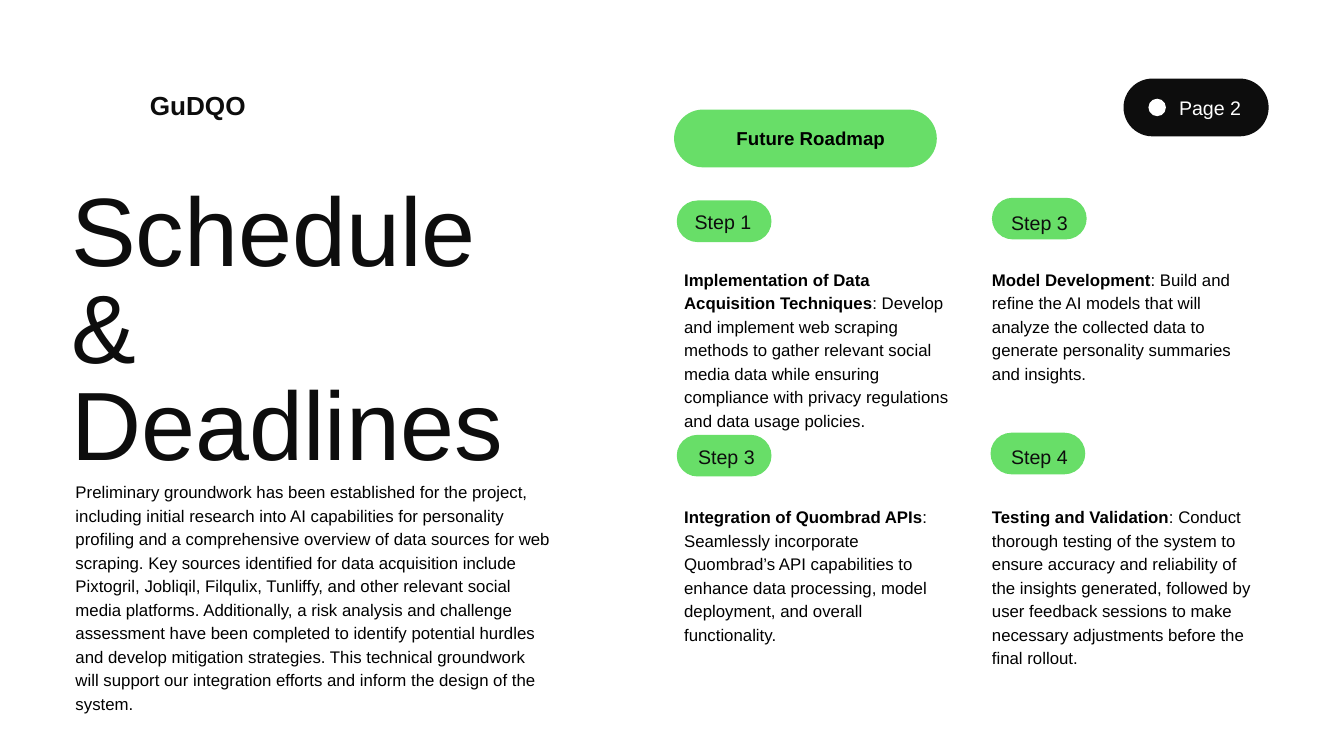
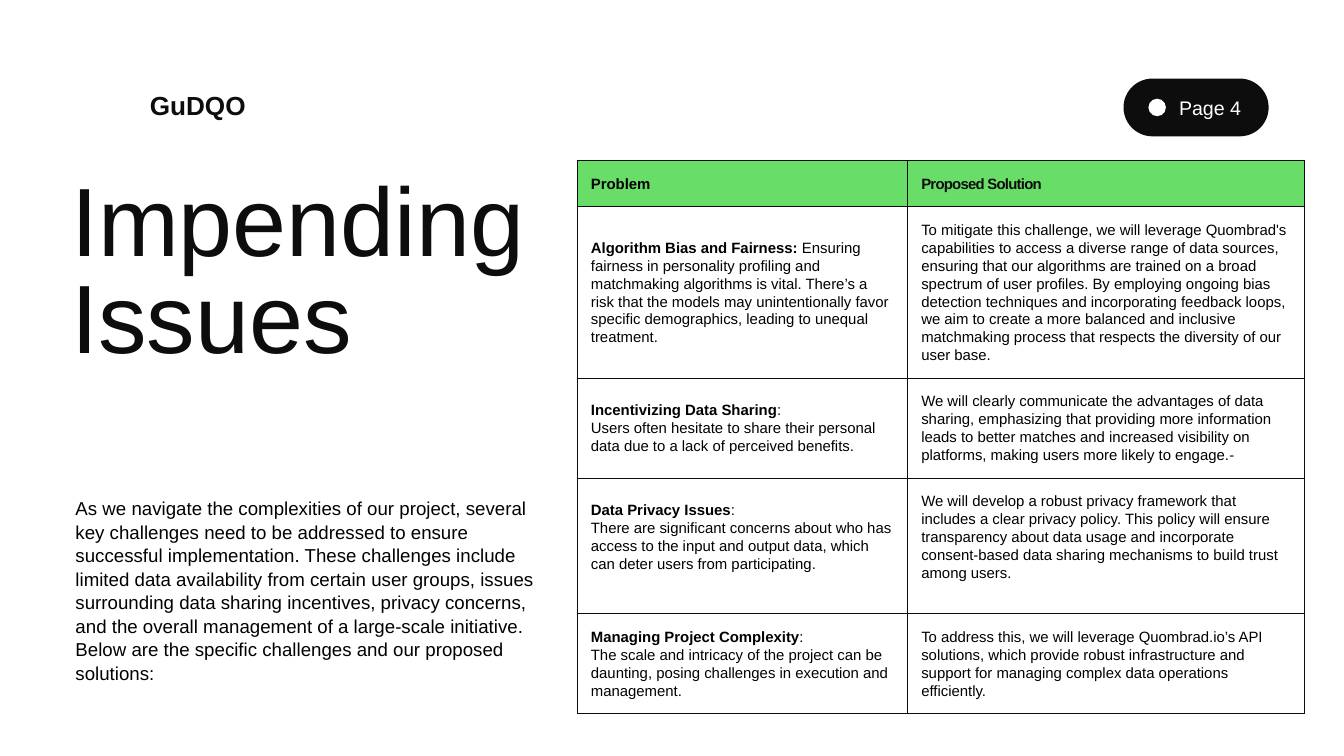
from lxml.etree import SubElement
from pptx import Presentation
from pptx.dml.color import RGBColor
from pptx.enum.shapes import MSO_SHAPE
from pptx.enum.text import MSO_ANCHOR, MSO_AUTO_SIZE, PP_ALIGN
from pptx.oxml import parse_xml
from pptx.oxml.ns import nsdecls, qn
from pptx.util import Pt

HUES = {"ink": "0D0D0D", "text": "000000", "green": "68DE68", "white": "FFFFFF"}
FONT = "Arial"
STEP_SIZE = (101.5, 44.6)
PAD = 15.12
LEAD = 19.2


def hue(name):
    return RGBColor.from_string(HUES[name])


def add_runs(para, runs, size, color, lead=None):
    """Each run is (text, bold) or (text, bold, color, letter spacing)."""
    if lead:
        para.line_spacing = Pt(lead)
    for text, bold, *extra in runs:
        tone, gap = extra or (color, 0)
        for num, line in enumerate(text.split("\n")):
            if num:
                para.add_line_break()
            run = para.add_run()
            run.text = line
            run.font.name = FONT
            run.font.size = Pt(size)
            run.font.bold = bold
            run.font.color.rgb = hue(tone)
            if gap:
                run.font._element.set("spc", str(int(gap * 100)))


def add_text(slide, box, paras, size, color="text", lead=None,
             align=PP_ALIGN.LEFT, inset=(0, 0)):
    shape = slide.shapes.add_textbox(*map(Pt, box))
    frame = shape.text_frame
    frame.word_wrap = True
    frame.auto_size = MSO_AUTO_SIZE.SHAPE_TO_FIT_TEXT
    frame.margin_left = frame.margin_right = Pt(inset[0])
    frame.margin_top = frame.margin_bottom = Pt(inset[1])
    for num, runs in enumerate(paras):
        para = frame.add_paragraph() if num else frame.paragraphs[0]
        para.alignment = align
        add_runs(para, runs, size, color, lead)


def add_solid(slide, kind, box, color):
    shape = slide.shapes.add_shape(kind, *map(Pt, box))
    shape.shadow.inherit = False
    shape.fill.solid()
    shape.fill.fore_color.rgb = hue(color)
    shape.line.fill.background()
    return shape


def add_pill(slide, box, color):
    add_solid(slide, MSO_SHAPE.ROUNDED_RECTANGLE, box, color).adjustments[0] = 0.5


# Shared header: name at the left, page badge at the right
def add_head(slide, page):
    add_text(slide, (160.6, 90.7, 275, 36), [[("GuDQO", True)]], 28, "ink", 39.2)
    left, top = 1203.8, 84.2
    add_pill(slide, (left, top, 155.5, 61.9), "ink")
    add_text(slide, (left - 5, top + 14.8, 131, 29.4), [[(f"Page {page}", False)]],
             21, "white", 29.4, PP_ALIGN.RIGHT)
    add_solid(slide, MSO_SHAPE.OVAL, (left + 26.7, top + 21.6, 18.7, 18.7), "white")


# Left column: large title above an introduction
def add_intro(slide, title, top, body, low, size):
    add_text(slide, (76.3, top, 509, 210), [[(line, False)] for line in title],
             104, "ink", 104)
    add_text(slide, (80.9, low, 509, 225), [[(body, False)]], size, lead=25.2)


# One step: pill, label at an offset from the pill, and its description
def add_step(slide, pill, shift, name, spot, lead, rest):
    add_pill(slide, (*pill, *STEP_SIZE), "green")
    add_text(slide, (pill[0] + shift[0], pill[1] + shift[1], 82, 26.6),
             [[(name, False)]], 21, "ink", 29.4)
    add_text(slide, (*spot, 285, 149), [[(lead, True), (rest, False)]], 18, lead=25.2)


def add_roadmap(slide, left, top):
    add_pill(slide, (left, top, 281.5, 61.9), "green")
    add_text(slide, (left + 25.9, top + 15.1, 241.2, 31.7),
             [[("Future Roadmap", True)]], 20, align=PP_ALIGN.CENTER,
             inset=(7.2, 3.6))
    cols, rows = (left + 10.8, left + 340.6), (top + 167.8, top + 422)
    for num, (x, y, shift, name, lead, rest) in enumerate(STEPS):
        spot = cols[num % 2], rows[num // 2]
        add_step(slide, (left + x, top + y), shift, name, spot, lead, rest)


# Bordered table of problems and solutions
def add_edges(cell):
    props = cell._tc.get_or_add_tcPr()
    for num, side in enumerate(("lnL", "lnR", "lnT", "lnB")):
        edge = parse_xml(f'<a:{side} {nsdecls("a")} w="{Pt(0.75)}"/>')
        fill = SubElement(edge, qn("a:solidFill"))
        SubElement(fill, qn("a:srgbClr")).set("val", HUES["ink"])
        props.insert(num, edge)


def add_grid(slide, left, top):
    wide, high = (354, 426), (49.5, 183.8, 106.5, 145.5, 107)
    shape = slide.shapes.add_table(len(high), len(wide), Pt(left), Pt(top),
                                   Pt(sum(wide)), Pt(sum(high)))
    table = shape.table
    table.first_row = table.horz_banding = False
    for col, size in zip(table.columns, wide):
        col.width = Pt(size)
    for num, (row, size) in enumerate(zip(table.rows, high)):
        row.height = Pt(size)
        for cell, runs in zip(row.cells, ISSUES[num]):
            cell.fill.solid()
            cell.fill.fore_color.rgb = hue("white" if num else "green")
            add_edges(cell)
            cell.vertical_anchor = MSO_ANCHOR.MIDDLE
            cell.margin_left = cell.margin_right = cell.margin_top = Pt(PAD)
            # The privacy row sits half a line above the middle
            cell.margin_bottom = Pt(PAD + LEAD if num == 3 else PAD)
            add_runs(cell.text_frame.paragraphs[0], runs, 16, "text", LEAD)


GROUND = (
    "Preliminary groundwork has been established for the project, including "
    "initial research into AI capabilities for personality profiling and a "
    "comprehensive overview of data sources for web scraping. Key sources "
    "identified for data acquisition include Pixtogril, Jobliqil, Filqulix, "
    "Tunliffy, and other relevant social media platforms. Additionally, a risk "
    "analysis and challenge assessment have been completed to identify potential "
    "hurdles and develop mitigation strategies. This technical groundwork will "
    "support our integration efforts and inform the design of the system.")
HURDLES = (
    "As we navigate the complexities of our project, several key challenges need "
    "to be addressed to ensure successful implementation. These challenges include "
    "limited data availability from certain user groups, issues surrounding data "
    "sharing incentives, privacy concerns, and the overall management of a "
    "large-scale initiative. Below are the specific challenges and our proposed "
    "solutions:")

# Pill offset from the roadmap corner, label offset from the pill, then wording
STEPS = [
    (2.9, 97.4, (19.2, 6.2), "Step 1",
     "Implementation of Data Acquisition Techniques",
     ": Develop and implement web scraping methods to gather relevant social media "
     "data while ensuring compliance with privacy regulations and data usage "
     "policies."),
    (340.6, 94.5, (20.6, 9.8), "Step 3", "Model Development",
     ": Build and refine the AI models that will analyze the collected data to "
     "generate personality summaries and insights."),
    (2.9, 348.5, (22.8, 7), "Step 3", "Integration of Quombrad APIs",
     ": Seamlessly incorporate Quombrad’s API capabilities to enhance data "
     "processing, model deployment, and overall functionality."),
    (339.1, 346.2, (22, 8.5), "Step 4", "Testing and Validation",
     ": Conduct thorough testing of the system to ensure accuracy and reliability "
     "of the insights generated, followed by user feedback sessions to make "
     "necessary adjustments before the final rollout."),
]

ISSUES = [
    ([("Problem", True)], [("Proposed Solution", True, "ink", -0.8)]),
    ([("Algorithm Bias and Fairness: ", True),
      ("Ensuring fairness in personality profiling and matchmaking algorithms is "
       "vital. There’s a risk that the models may unintentionally favor specific "
       "demographics, leading to unequal treatment.", False)],
     [("To mitigate this challenge, we will leverage Quombrad's capabilities to "
       "access a diverse range of data sources, ensuring that our algorithms are "
       "trained on a broad spectrum of user profiles. By employing ongoing bias "
       "detection techniques and incorporating feedback loops, we aim to create a "
       "more balanced and inclusive matchmaking process that respects the "
       "diversity of our user base.", False)]),
    ([("Incentivizing Data Sharing", True),
      (":\nUsers often hesitate to share their personal data due to a lack of "
       "perceived benefits.", False)],
     [("We will clearly communicate the advantages of data sharing, emphasizing "
       "that providing more information leads to better matches and increased "
       "visibility on platforms, making users more likely to engage.", False),
      ("-", False, "ink", -0.8)]),
    ([("Data Privacy Issues", True),
      (":\nThere are significant concerns about who has access to the input and "
       "output data, which can deter users from participating.", False)],
     [("We will develop a robust privacy framework that includes a clear privacy "
       "policy. This policy will ensure transparency about data usage and "
       "incorporate consent-based data sharing mechanisms to build trust among "
       "users.", False)]),
    ([("Managing Project Complexity", True),
      (":\nThe scale and intricacy of the project can be daunting, posing "
       "challenges in execution and management.", False)],
     [("To address this, we will leverage Quombrad.io’s API solutions, which "
       "provide robust infrastructure and support for managing complex data "
       "operations efficiently.", False)]),
]


def main():
    deck = Presentation()
    deck.slide_width, deck.slide_height = Pt(1440), Pt(810)
    blank = deck.slide_layouts[6]

    # Schedule
    slide = deck.slides.add_slide(blank)
    add_intro(slide, ["Schedule & Deadlines"], 202.3, GROUND, 512.6, 18)
    add_roadmap(slide, 722.2, 117.4)
    add_head(slide, 2)

    # Issues
    slide = deck.slides.add_slide(blank)
    add_intro(slide, ["Impending", "Issues"], 191.5, HURDLES, 531.4, 20)
    add_grid(slide, 618, 171.8)
    add_head(slide, 4)

    deck.save("out.pptx")


if __name__ == "__main__":
    main()
